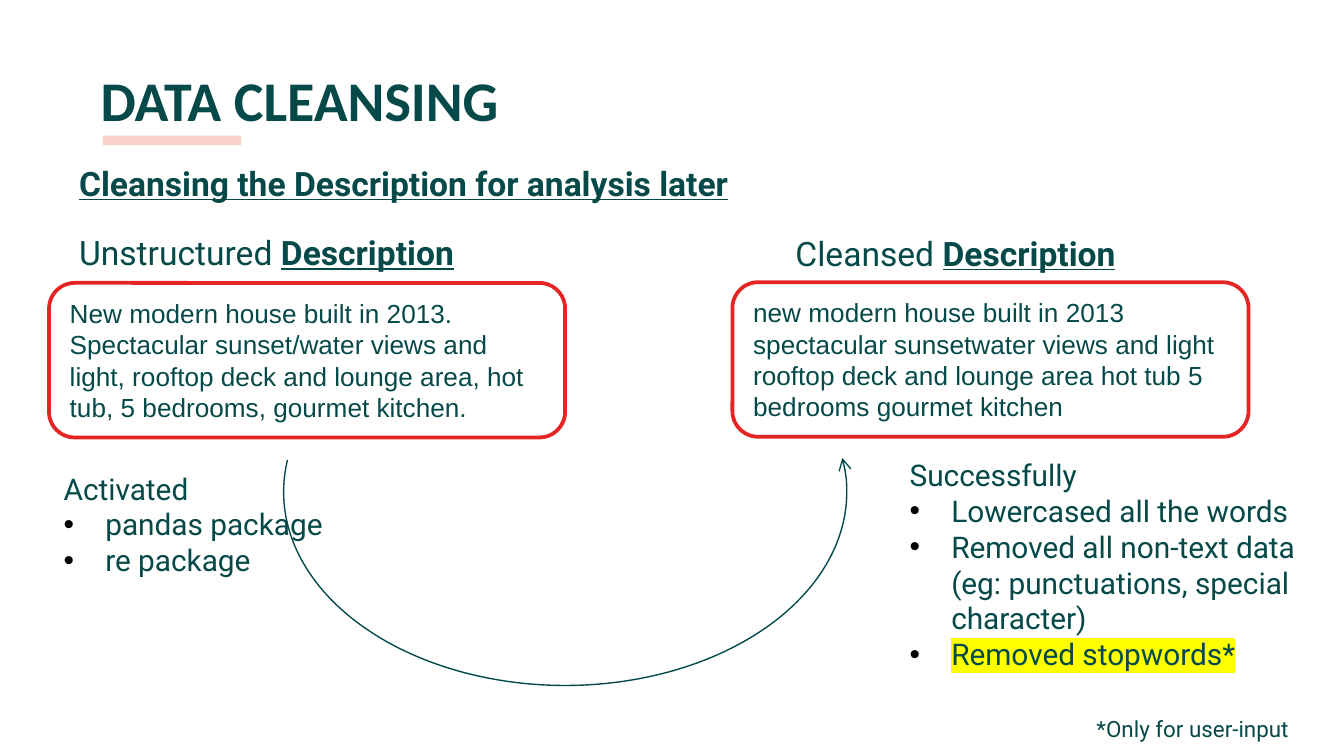
from lxml import etree
from pptx import Presentation
from pptx.dml.color import RGBColor
from pptx.enum.shapes import MSO_SHAPE
from pptx.enum.text import MSO_ANCHOR, PP_ALIGN
from pptx.oxml.ns import qn
from pptx.util import Pt

PX = 4572
RECT, ROUND, ARC = MSO_SHAPE.RECTANGLE, MSO_SHAPE.ROUNDED_RECTANGLE, MSO_SHAPE.ARC
TOP, MIDDLE, LEFT = MSO_ANCHOR.TOP, MSO_ANCHOR.MIDDLE, PP_ALIGN.LEFT
GREEN, RED, PINK = "064949", "E42524", "F4AA9E"


def rgb(value):
    return RGBColor.from_string(value)


def add(parent, tag, **attrs):
    return etree.SubElement(parent, qn(tag), attrs)


class Deck:
    """Style and current slide, with one method for each kind of element."""

    def __init__(self, width, height):
        self.prs = Presentation()
        self.prs.slide_width, self.prs.slide_height = width * PX, height * PX
        self.s = self.prs.slides.add_slide(self.prs.slide_layouts[6])

    def style(self, r, size, font="Roboto", bold=False, underline=False):
        f = r.font
        f.size, f.name, f.bold, f.underline = Pt(size), font, bold, underline
        f.color.rgb = rgb(GREEN)

    def shape(self, kind, box, fill=None, line=None, weight=1):
        sp = self.s.shapes.add_shape(kind, *(v * PX for v in box))
        sp.shadow.inherit = False
        if fill:
            sp.fill.solid()
            sp.fill.fore_color.rgb = rgb(fill)
        else:
            sp.fill.background()
        if line:
            sp.line.color.rgb = rgb(line)
            sp.line.width = Pt(weight)
        else:
            sp.line.fill.background()
        return sp

    def text(self, box, inset):
        tf = self.s.shapes.add_textbox(*(v * PX for v in box)).text_frame
        tf.word_wrap, tf.vertical_anchor = True, TOP
        tf.margin_top = tf.margin_bottom = inset * PX
        tf.margin_left = tf.margin_right = 20 * PX
        return tf

    def line(self, box, text, size, space_after=0, inset=20, **look):
        p = self.text(box, inset).paragraphs[0]
        p.text, p.space_after = text, Pt(space_after)
        self.style(p.runs[0], size, **look)
        return p

    def label(self, box, lead):
        p = self.line(box, lead, 18, 16)
        r = p.add_run()
        r.text = "Description"
        self.style(r, 18, bold=True, underline=True)

    def card(self, box, text):
        tf = self.shape(ROUND, box, "FFFFFF", RED, 2).text_frame
        tf.word_wrap, tf.vertical_anchor = True, MIDDLE
        p = tf.paragraphs[0]
        p.text, p.alignment = text, LEFT
        self.style(p.runs[0], 14, "Arial")

    def bullets(self, box, heading, items):
        tf = self.text(box, 10)
        tf.text = "\n".join([heading, *items])
        for p in tf.paragraphs[1:]:
            pPr = p._p.get_or_add_pPr()
            pPr.set("marL", str(62 * PX))
            pPr.set("indent", str(-62 * PX))
            add(add(pPr, "a:buClr"), "a:srgbClr", val="000000")
            add(pPr, "a:buFont", typeface="Arial")
            add(pPr, "a:buChar", char="•")
        for p in tf.paragraphs:
            self.style(p.runs[0], 16)
        return tf

    def highlight(self, r, color):
        mark = etree.Element(qn("a:highlight"))
        add(mark, "a:srgbClr", val=color)
        r._r.rPr.find(qn("a:solidFill")).addnext(mark)

    def arc_arrow(self, box):
        sp = self.shape(ARC, box, line="044949", weight=0.75)
        sp.rotation = 180
        sp.adjustments[0], sp.adjustments[1] = 103.8, 3.95
        add(sp._element.spPr.find(qn("a:ln")), "a:headEnd", type="arrow")

    def bar(self, box, color, opacity):
        sp = self.shape(RECT, box, color)
        clr = sp._element.spPr.find(qn("a:solidFill"))[0]
        add(clr, "a:alpha", val=str(opacity * 1000))


def main():
    deck = Deck(2000, 1125)
    deck.line((130, 78, 1864, 126), "DATA CLEANSING", 30, font="Calibri", bold=True)
    deck.bar((153, 202, 206, 14), PINK, 52)
    deck.arc_arrow((422, 444, 838, 576))
    tf = deck.bullets((1334, 670, 666, 398), "Successfully", [
        "Lowercased all the words",
        "Removed all non-text data (eg: punctuations, special character)",
        "Removed stopwords*",
    ])
    deck.highlight(tf.paragraphs[-1].runs[0], "FFFF00")
    deck.bullets((75, 690, 430, 236), "Activated", ["pandas package", "re package"])
    deck.label((98, 325, 902, 94), "Unstructured ")
    deck.label((1164, 326, 902, 94), "Cleansed ")
    deck.card((73, 421, 768, 230),
              "New modern house built in 2013. Spectacular sunset/water views and light, "
              "rooftop deck and lounge area, hot tub, 5 bedrooms, gourmet kitchen.")
    deck.card((1090, 420, 768, 230),
              "new modern house built in 2013 spectacular sunsetwater views and light "
              "rooftop deck and lounge area hot tub 5 bedrooms gourmet kitchen")
    deck.line((1612, 1054, 430, 60), "*Only for user-input", 12, inset=10)
    deck.line((98, 222, 1188, 198), "Cleansing the Description for analysis later", 18, 1,
              bold=True, underline=True)
    deck.prs.save("out.pptx")


if __name__ == "__main__":
    main()
